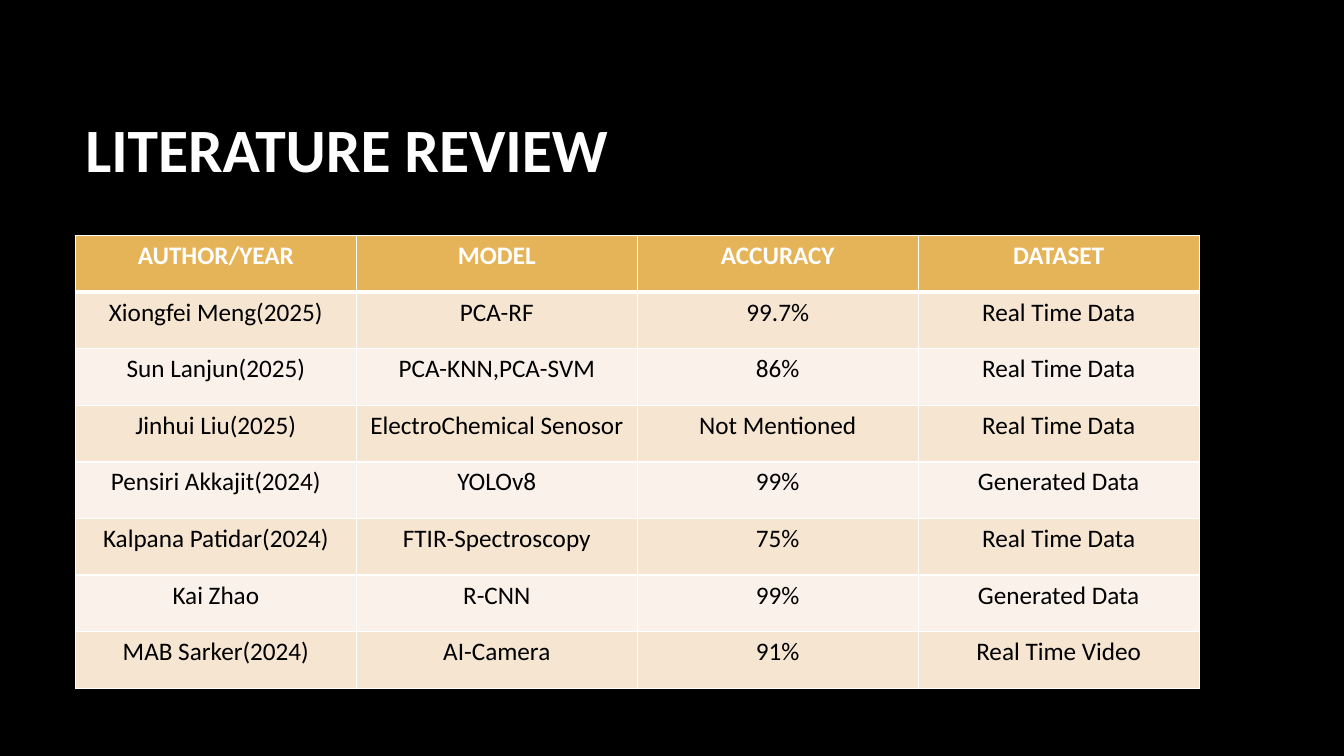
"""Build the literature review slide: a title above a table of studies."""
from lxml import etree
from pptx import Presentation
from pptx import util as u
from pptx.dml.color import RGBColor
from pptx.enum import text
from pptx.oxml import ns

COLORS = {"background": "000000", "title": "FFFFFF", "border": "FFFFFF",
          "header": "E5B458", "header_text": "FFFFFF", "body_text": "000000",
          "odd": "F5E5D1", "even": "FAF2EA"}
STUDIES = [
    ("AUTHOR/YEAR", "MODEL", "ACCURACY", "DATASET"),
    ("Xiongfei Meng(2025)", "PCA-RF", "99.7%", "Real Time Data"),
    ("Sun Lanjun(2025)", "PCA-KNN,PCA-SVM", "86%", "Real Time Data"),
    ("Jinhui Liu(2025)", "ElectroChemical Senosor", "Not Mentioned", "Real Time Data"),
    ("Pensiri Akkajit(2024)", "YOLOv8", "99%", "Generated Data"),
    ("Kalpana Patidar(2024)", "FTIR-Spectroscopy", "75%", "Real Time Data"),
    ("Kai Zhao", "R-CNN", "99%", "Generated Data"),
    ("MAB Sarker(2024)", "AI-Camera", "91%", "Real Time Video"),
]


def write(frame, words, color, **font_format):
    """Put one formatted run of words into a text frame."""
    run = frame.paragraphs[0].add_run()
    run.text = words
    run.font.color.rgb = RGBColor.from_string(COLORS[color])
    for name, value in {"name": "Calibri", **font_format}.items():
        setattr(run.font, name, value)


def add_borders(cell, widths):
    """Draw the cell's edges, given their widths in points."""
    properties = cell._tc.get_or_add_tcPr()
    for side, width in widths.items():
        line = etree.SubElement(properties, ns.qn(f"a:ln{side}"), w=str(u.Pt(width)))
        fill = etree.SubElement(line, ns.qn("a:solidFill"))
        etree.SubElement(fill, ns.qn("a:srgbClr"), val=COLORS["border"])


deck = Presentation()
deck.slide_width, deck.slide_height = u.Cm(33.87), u.Cm(19.05)
slide = deck.slides.add_slide(deck.slide_layouts[6])
slide.background.fill.solid()
slide.background.fill.fore_color.rgb = RGBColor.from_string(COLORS["background"])

title = slide.shapes.add_textbox(u.Cm(1.9), u.Cm(1.7), u.Cm(28.15), u.Cm(4.04)).text_frame
title.word_wrap = True
title.vertical_anchor = text.MSO_ANCHOR.MIDDLE
write(title, "LITERATURE REVIEW", "title", size=u.Pt(44), bold=True)

review = slide.shapes.add_table(len(STUDIES), len(STUDIES[0]), u.Cm(1.9), u.Cm(5.94),
                                u.Cm(28.32), u.Cm(11.4)).table
for row, study in enumerate(STUDIES):
    header = row == 0
    band = "header" if header else "odd" if row % 2 else "even"
    edges = {"L": 1, "R": 1, "T": 3 if row == 1 else 1, "B": 3 if header else 1}
    for column, words in enumerate(study):
        cell = review.cell(row, column)
        add_borders(cell, edges)
        cell.fill.solid()
        cell.fill.fore_color.rgb = RGBColor.from_string(COLORS[band])
        write(cell.text_frame, words, "header_text" if header else "body_text",
              size=u.Pt(18), bold=header)
        cell.text_frame.paragraphs[0].alignment = text.PP_ALIGN.CENTER

deck.save("out.pptx")
